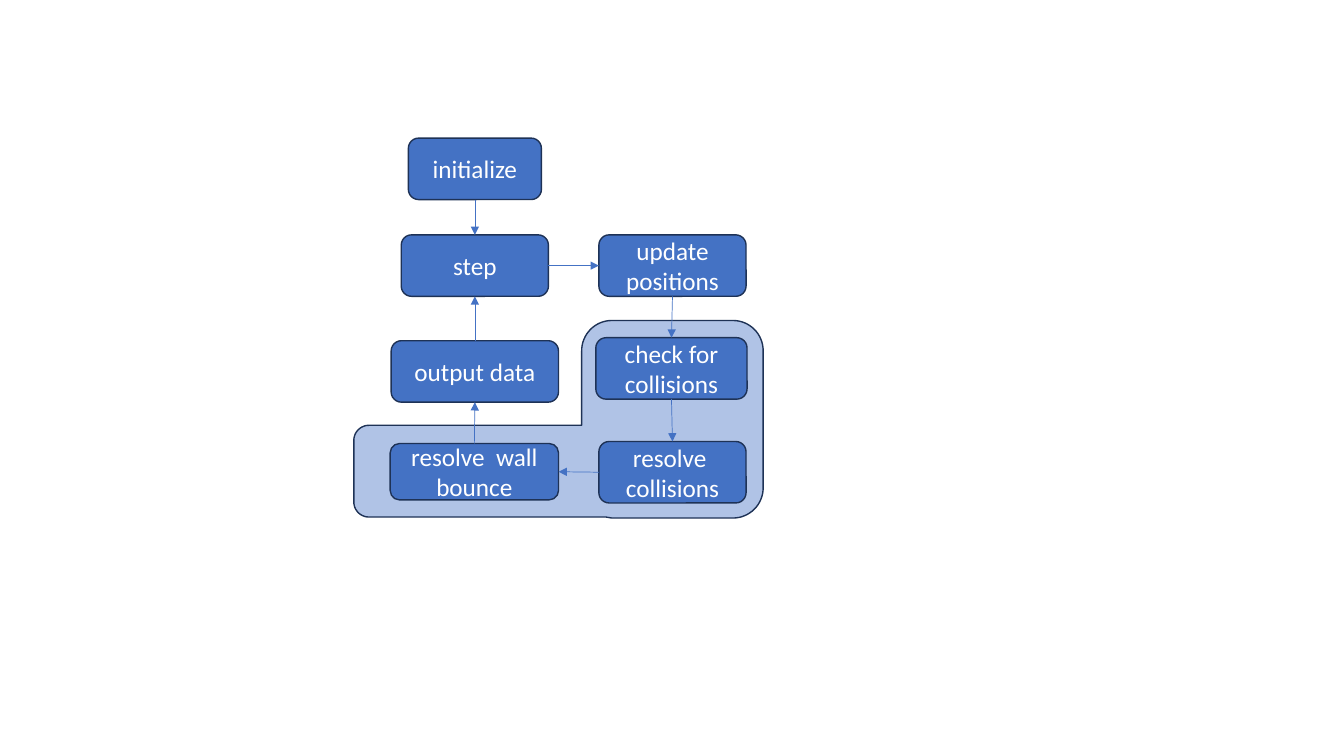
import math
from typing import NamedTuple

import pptx
import pptx.dml.color
import pptx.enum.shapes
import pptx.enum.text
import pptx.oxml
import pptx.oxml.ns
import pptx.util
from pptx.util import Inches

BLUE = "4472C4"
PALE = "B0C3E6"
NAVY = "1E3256"
WHITE = "FFFFFF"
TOP, LEFT, BOTTOM, RIGHT = range(4)
ARC_STEPS = 16


class Step(NamedTuple):
    text: str
    left: float
    top: float
    width: float
    height: float = 0.61


class Arrow(NamedTuple):
    start: str
    start_side: int
    end: str
    end_side: int


class Corner(NamedTuple):
    x: float
    y: float
    radius: float = 0
    start_angle: int = 0


STEPS = [
    Step("initialize", 4.05, 1.37, 1.32),
    Step("step", 3.98, 2.33, 1.46),
    Step("update positions", 5.94, 2.33, 1.46),
    Step("check for collisions", 5.91, 3.35, 1.5),
    Step("resolve  collisions", 5.94, 4.38, 1.46),
    Step("resolve  wall bounce", 3.87, 4.4, 1.67, 0.56),
    Step("output data", 3.88, 3.38, 1.66),
]

ARROWS = [
    Arrow("initialize", BOTTOM, "step", TOP),
    Arrow("step", RIGHT, "update positions", LEFT),
    Arrow("update positions", BOTTOM, "check for collisions", TOP),
    Arrow("check for collisions", BOTTOM, "resolve  collisions", TOP),
    Arrow("resolve  collisions", LEFT, "resolve  wall bounce", RIGHT),
    Arrow("resolve  wall bounce", TOP, "output data", BOTTOM),
    Arrow("output data", TOP, "step", BOTTOM),
]

COLLISION_AREA = [
    Corner(7.27, 3.48, 0.3, 270),
    Corner(7.27, 4.84, 0.3, 0),
    Corner(6.07, 5.14),
    Corner(6.01, 5.13),
    Corner(3.66, 4.98, 0.15, 90),
    Corner(3.66, 4.37, 0.15, 180),
    Corner(5.77, 4.22),
    Corner(6.07, 3.48, 0.3, 180),
]


def color(value: str) -> pptx.dml.color.RGBColor:
    return pptx.dml.color.RGBColor.from_string(value)


def set_values(target, values: dict) -> None:
    for name, value in values.items():
        setattr(target, name, value)


def style_shape(shape, fill: str) -> None:
    shape.shadow.inherit = False
    shape.fill.solid()
    shape.fill.fore_color.rgb = color(fill)
    shape.line.color.rgb = color(NAVY)
    shape.line.width = pptx.util.Pt(1)


def corner_points(corner: Corner) -> list[tuple[int, int]]:
    count = ARC_STEPS if corner.radius else 0
    angles = [
        math.radians(corner.start_angle + 90 * index / ARC_STEPS)
        for index in range(count + 1)
    ]
    return [
        (
            Inches(corner.x + corner.radius * math.cos(angle)),
            Inches(corner.y + corner.radius * math.sin(angle)),
        )
        for angle in angles
    ]


def draw_area(page, corners: list[Corner]) -> None:
    points = [point for corner in corners for point in corner_points(corner)]
    builder = page.shapes.build_freeform(*points[0])
    builder.add_line_segments(points[1:], close=True)
    style_shape(builder.convert_to_shape(), PALE)


def draw_step(page, step: Step):
    box = page.shapes.add_shape(
        pptx.enum.shapes.MSO_SHAPE.ROUNDED_RECTANGLE,
        Inches(step.left),
        Inches(step.top),
        Inches(step.width),
        Inches(step.height),
    )
    style_shape(box, BLUE)
    frame = box.text_frame
    set_values(frame, {
        "word_wrap": True,
        "vertical_anchor": pptx.enum.text.MSO_ANCHOR.MIDDLE,
    })
    para = frame.paragraphs[0]
    para.alignment = pptx.enum.text.PP_ALIGN.CENTER
    span = para.add_run()
    span.text = step.text
    set_values(span.font, {"name": "Calibri", "size": pptx.util.Pt(18)})
    span.font.color.rgb = color(WHITE)
    return box


def draw_arrow(page, arrow: Arrow, boxes: dict) -> None:
    connector = page.shapes.add_connector(
        pptx.enum.shapes.MSO_CONNECTOR.STRAIGHT, 0, 0, 0, 0
    )
    connector.begin_connect(boxes[arrow.start], arrow.start_side)
    connector.end_connect(boxes[arrow.end], arrow.end_side)
    connector.line.color.rgb = color(BLUE)
    connector.line.width = pptx.util.Pt(0.5)
    head = pptx.oxml.parse_xml(
        f'<a:tailEnd {pptx.oxml.ns.nsdecls("a")} type="triangle"/>'
    )
    connector.line._get_or_add_ln().append(head)
    effects = pptx.oxml.parse_xml(f'<a:effectLst {pptx.oxml.ns.nsdecls("a")}/>')
    connector._element.spPr.append(effects)


def main() -> None:
    deck = pptx.Presentation()
    set_values(deck, {"slide_width": Inches(13.33), "slide_height": Inches(7.5)})
    page = deck.slides.add_slide(deck.slide_layouts[6])
    draw_area(page, COLLISION_AREA)
    boxes = {step.text: draw_step(page, step) for step in STEPS}
    for arrow in ARROWS:
        draw_arrow(page, arrow, boxes)
    deck.save("out.pptx")


if __name__ == "__main__":
    main()
